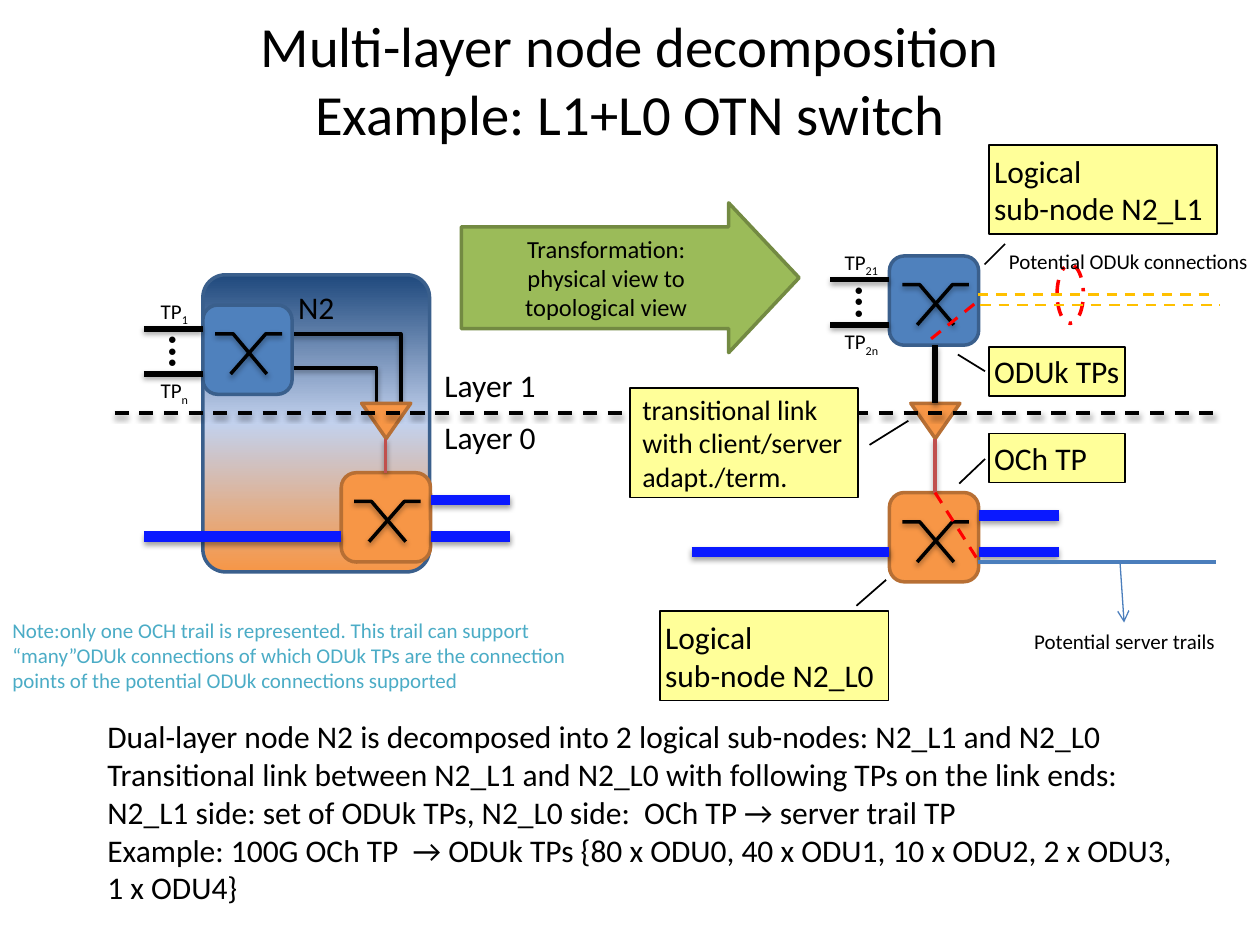
from copy import deepcopy

from lxml.etree import SubElement
from pptx import Presentation
from pptx.dml.color import RGBColor
from pptx.enum.dml import MSO_LINE
from pptx.enum.shapes import MSO_CONNECTOR, MSO_SHAPE
from pptx.enum.text import MSO_ANCHOR, MSO_AUTO_SIZE, PP_ALIGN
from pptx.oxml.ns import qn
from pptx.util import Cm, Pt

BLACK, RED, GOLD, TRAIL = "000000", "FF0000", "FFC000", "0A19FF"
BLUE, ORANGE = ("4F81BD", "3A5F8C"), ("F79646", "B76F34")
SIDE = 0.71
TITLE = "Multi-layer node decomposition\vExample: L1+L0 OTN switch"
BODY = [
    "Dual-layer node N2 is decomposed into 2 logical sub-nodes: N2_L1 and N2_L0",
    "Transitional link between N2_L1 and N2_L0 with following TPs on the link ends:\v"
    "N2_L1 side: set of ODUk TPs, N2_L0 side:  OCh TP → server trail TP",
    "Example: 100G OCh TP  → ODUk TPs {80 x ODU0, 40 x ODU1, 10 x ODU2, 2 x ODU3, 1 x ODU4}",
]
NOTE = ("Note:only one OCH trail is represented. This trail can support “many”ODUk connections "
        "of which ODUk TPs are the connection points of the potential ODUk connections supported")
NODES = [(2.71, 3.75, ORANGE), (1.61, 2.42, BLUE), (7.06, 2.03, BLUE), (7.06, 3.91, ORANGE)]
CONES = [(2.87, 3.2), (7.23, 3.2)]
BENDS = [((2.32, 2.92, 2.98, 3.2), "bentConnector3", 101100),
         ((2.24, 2.65, 3.18, 3.2), "bentConnector2", None)]
PORTS = [(1.14, 2.61, "1", "n"), (6.59, 2.22, "21", "2n")]
TRUNKS = [(1.14, 4.26), (5.49, 4.38)]
SHADED = [
    ((3.06, 3.48, 3.06, 3.75), "C0504D", 2, None),
    ((7.42, 2.74, 7.42, 3.2), BLACK, 3, None),
    ((7.42, 3.48, 7.42, 3.91), "C0504D", 2, None),
    ((0.91, 3.28, 9.65, 3.28), BLACK, 2, MSO_LINE.DASH),
]
PLAIN = [
    ((7.42, 3.91, 7.77, 4.46), RED, 1.75, MSO_LINE.DASH),
    ((7.76, 4.46, 9.65, 4.46), "4B7EBC", 2.5, None),
    ((7.39, 2.69, 7.77, 2.38), RED, 1.75, MSO_LINE.DASH),
    ((7.78, 2.42, 9.68, 2.42), GOLD, 1.5, MSO_LINE.DASH),
    ((7.76, 2.34, 9.65, 2.34), GOLD, 1.5, MSO_LINE.DASH),
]
NOTES = [
    ((7.85, 1.15, 1.81, 0.71), (1.11, 0.07, 1.34, -0.02), ["Logical\vsub-node N2_L1"], 18, 0.04),
    ((7.85, 3.44, 1.08, 0.39), (0.52, -0.03, 1.02, -0.22), ["OCh TP"], 18, 0.04),
    ((5.24, 4.85, 1.81, 0.71), (-0.06, 0.86, -0.35, 0.99), ["Logical\vsub-node N2_L0"], 18, 0.04),
    ((7.85, 2.75, 1.08, 0.39), (0.5, -0.03, 0.16, -0.23), ["ODUk TPs"], 18, 0.04),
    ((5, 3.08, 1.81, 0.87), (0.52, 1.05, 0.3, 1.22),
     ["transitional link with client/server", "adapt./term."], 16, None),
]
LABELS = [
    ((3.43, 2.86, 1.42, 0.4), "Layer 1", 18, BLACK, True),
    ((3.43, 3.27, 1.42, 0.4), "Layer 0", 18, BLACK, True),
    ((7.91, 1.92, 2.12, 0.3), "Potential ODUk connections", 12, BLACK, False),
    ((8.11, 4.94, 1.65, 0.3), "Potential server trails", 12, BLACK, False),
    ((0, 4.85, 5, 0.71), NOTE, 12, "4BACC6", True),
]


def cm(*inches):
    """Turn inches into lengths."""
    return [Cm(round(n * 2.54, 2)) for n in inches]


def hue(code):
    """Turn a hex string into a colour."""
    return RGBColor.from_string(code)


def write(frame, lines, size, tint=BLACK, align=PP_ALIGN.LEFT, inset=None):
    """Fill a text frame with one paragraph per line."""
    if inset is not None:
        (pad,) = cm(inset)
        frame.margin_left = frame.margin_right = frame.margin_top = frame.margin_bottom = pad
    for i, line in enumerate(lines):
        para = frame.paragraphs[0] if i == 0 else frame.add_paragraph()
        para.text = line
        para.alignment = align
        para.font.size, para.font.name = Pt(size), "Calibri"
        para.font.color.rgb = hue(tint)


def pen(item, tint, width, dash=None):
    """Style an outline."""
    item.line.color.rgb = hue(tint)
    item.line.width = Pt(width)
    if dash:
        item.line.dash_style = dash


def shade(item, on=True):
    """Replace the theme shadow by a soft one or by none."""
    list_ = SubElement(item._element.spPr, qn("a:effectLst"))
    if on:
        cast = SubElement(list_, qn("a:outerShdw"), blurRad=str(Pt(3.1)), dist=str(Pt(1.7)),
                          dir="5400000", rotWithShape="0")
        tone = SubElement(cast, qn("a:srgbClr"), val=BLACK)
        SubElement(tone, qn("a:alpha"), val="37000")


def block(kind, place, fill, edge, width=2, dash=None):
    """Add a filled preset shape."""
    item = shapes.add_shape(kind, *cm(*place))
    item.shadow.inherit = False
    item.fill.solid()
    item.fill.fore_color.rgb = hue(fill)
    pen(item, edge, width, dash)
    return item


def wire(ends, tint, width, dash=None, soft=True, kind=MSO_CONNECTOR.STRAIGHT):
    """Add a connector."""
    item = shapes.add_connector(kind, *cm(*ends))
    pen(item, tint, width, dash)
    shade(item, soft)
    return item


def label(place, text, size, tint=BLACK, wrap=True, align=PP_ALIGN.LEFT, inset=None):
    """Add a text box that fits its text."""
    item = shapes.add_textbox(*cm(*place))
    write(item.text_frame, [text], size, tint, align, inset)
    item.text_frame.word_wrap = wrap
    item.text_frame.auto_size = MSO_AUTO_SIZE.SHAPE_TO_FIT_TEXT
    return item


def node(x, y, tints):
    """Add a switch box with its crossed strokes."""
    block(MSO_SHAPE.ROUNDED_RECTANGLE, (x, y, SIDE, SIDE), *tints)
    for steps in ((0.1, 0.24, 0.51), (0.63, 0.5, 0.22)):
        spots = [tuple(cm(x + dx, y + dy)) for dx, dy in zip(steps, (0.23, 0.23, 0.55))]
        path = shapes.build_freeform(*spots[0])
        path.add_line_segments(spots[1:], close=False)
        stroke = path.convert_to_shape()
        stroke.fill.background()
        pen(stroke, BLACK, 2)
        shade(stroke)


def ports(x, y, first, last):
    """Add a pair of termination points with dots between."""
    for dy, gap, sub in ((0, -0.28, first), (0.36, 0.35, last)):
        wire((x, y + dy, x + 0.47, y + dy), BLACK, 3)
        tag = label((x + 0.05, y + gap, 0.39, 0.28), "TP", 12, align=PP_ALIGN.CENTER, inset=0.04)
        run = tag.text_frame.paragraphs[0].add_run()
        run.text = sub
        run._r.get_or_add_rPr().set("baseline", "-25000")
    dots = label((x + 0.04, y + 0.11, 0.36, 0.14), "● ● ●", 8, align=PP_ALIGN.CENTER, inset=0)
    dots.rotation = 270


deck = Presentation()
deck.slide_width, deck.slide_height = cm(10, 7.5)
slide = deck.slides.add_slide(deck.slide_layouts[1])
shapes = slide.shapes
title, body = slide.placeholders
for item, place, lines, size, align, hold in (
        (title, (0.5, 0, 9, 1.25), [TITLE], 32.4, PP_ALIGN.CENTER, MSO_ANCHOR.MIDDLE),
        (body, (0.75, 5.64, 8.66, 1.57), BODY, 18, PP_ALIGN.LEFT, MSO_ANCHOR.TOP)):
    item.left, item.top, item.width, item.height = cm(*place)
    write(item.text_frame, lines, size, align=align)
    item.text_frame.auto_size = MSO_AUTO_SIZE.NONE
    item.text_frame.vertical_anchor = hold
for para in body.text_frame.paragraphs:
    para.space_before = Pt(0)
    props = para._p.get_or_add_pPr()
    props.set("marL", "0")
    props.set("indent", "0")
    props.insert_element_before(props.makeelement(qn("a:buNone")), "a:tabLst", "a:defRPr")

block(MSO_SHAPE.OVAL, (8.39, 2.1, 0.21, 0.47), "FFFFFF", RED, 2, MSO_LINE.DASH_DOT)
frame = block(MSO_SHAPE.ROUNDED_RECTANGLE, (1.61, 2.18, 1.8, 2.36), *BLUE)
frame.adjustments[0] = 0.1
frame.fill.gradient()
frame.fill.gradient_angle = 270
stops = frame._element.spPr.find(".//" + qn("a:gsLst"))
stops.insert(1, deepcopy(stops[0]))
stops[1].set("pos", "50000")
for stop, tint in zip(frame.fill.gradient_stops, ("1F497D", "C2D1ED", "F79646")):
    stop.color.rgb = hue(tint)
write(frame.text_frame, ["N2"], 18, align=PP_ALIGN.CENTER)
frame.text_frame.vertical_anchor = MSO_ANCHOR.TOP

for ends, form, bend in BENDS:
    shape = wire(ends, BLACK, 2, kind=MSO_CONNECTOR.ELBOW)._element.spPr.find(qn("a:prstGeom"))
    shape.set("prst", form)
    if bend:
        SubElement(shape.get_or_add_avLst(), qn("a:gd"), name="adj1", fmla=f"val {bend}")
for x, y in CONES:
    block(MSO_SHAPE.ISOSCELES_TRIANGLE, (x, y, 0.39, 0.28), *ORANGE).rotation = 180
for spec_ in NODES:
    node(*spec_)
for port in PORTS:
    ports(*port)
for x, y in TRUNKS:
    for start, end, rise in ((0, 1.57, 0), (2.28, 2.91, 0), (2.28, 2.91, 0.29)):
        wire((x + start, y - rise, x + end, y - rise), TRAIL, 6)
for line in SHADED:
    wire(*line)
for line in PLAIN:
    wire(*line, soft=False)
arrow = wire((8.89, 4.47, 8.92, 4.94), "4B7EBC", 0.75, soft=False)
SubElement(arrow._element.spPr.find(qn("a:ln")), qn("a:tailEnd"), type="arrow")

for place, bends, lines, size, inset in NOTES:
    note = block(MSO_SHAPE.LINE_CALLOUT_1, place, "FFFF99", BLACK, 1)
    for i, bend in enumerate(bends):
        note.adjustments[i] = bend
    write(note.text_frame, lines, size, inset=inset)
big = block(MSO_SHAPE.RIGHT_ARROW, (3.66, 1.61, 2.68, 1.19), "9BBB59", "738A42")
big.adjustments[0], big.adjustments[1] = 0.68, 0.47
write(big.text_frame, ["Transformation:\vphysical view to topological view"], 14,
      align=PP_ALIGN.CENTER)
for spec_ in LABELS:
    label(*spec_)
deck.save("out.pptx")
